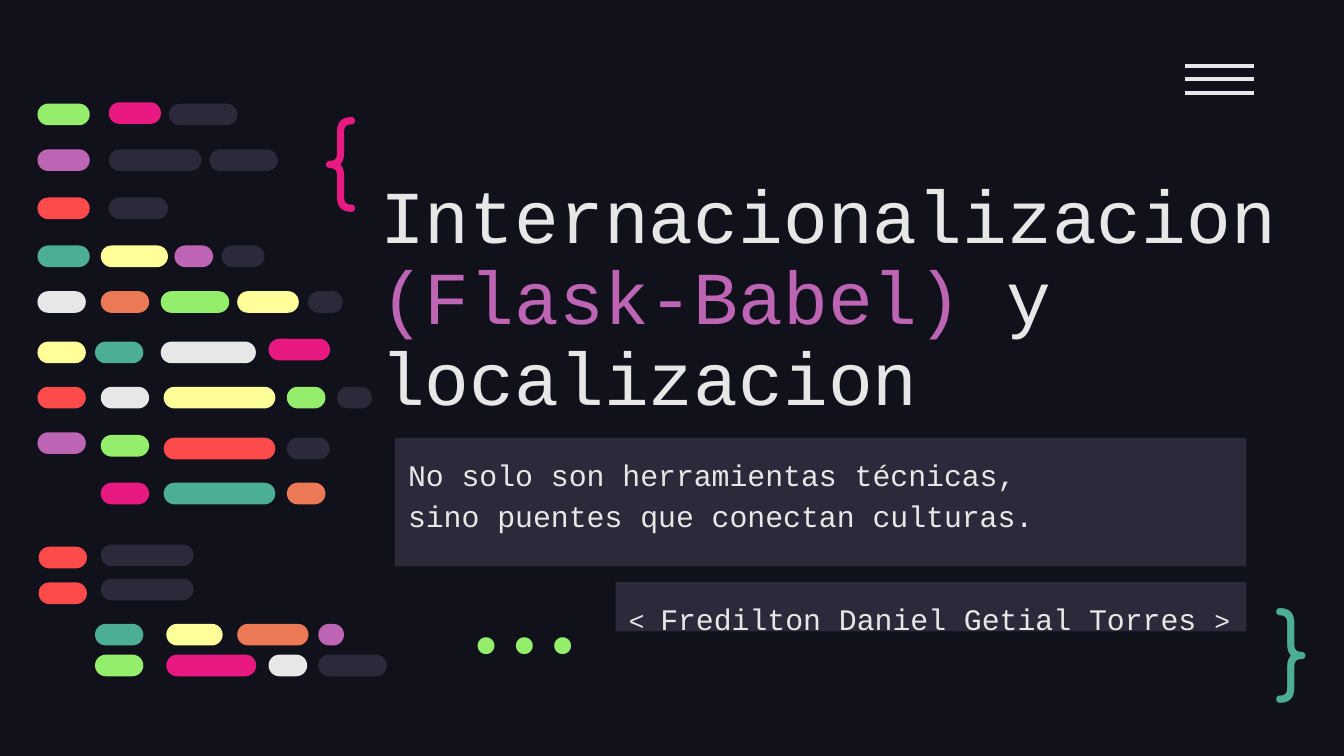
import pptx
import pptx.util
import pptx.dml.color
import pptx.enum.shapes
import pptx.enum.text
import pptx.oxml.ns
import lxml.etree

Pt = pptx.util.Pt
RGB = pptx.dml.color.RGBColor
KIND = pptx.enum.shapes.MSO_SHAPE
LINK = pptx.enum.shapes.MSO_CONNECTOR
ANCHOR = pptx.enum.text.MSO_ANCHOR
ALIGN = pptx.enum.text.PP_ALIGN
SIZING = pptx.enum.text.MSO_AUTO_SIZE

NIGHT = RGB(0x10, 0x11, 0x1A)
SLATE = RGB(0x2C, 0x29, 0x3A)
WHITE = RGB(0xE7, 0xE7, 0xE7)
PURPLE = RGB(0xBD, 0x64, 0xB5)
PINK = RGB(0xE8, 0x1A, 0x81)
TEAL = RGB(0x4C, 0xAE, 0x97)
GREEN = RGB(0x94, 0xEE, 0x6B)
RED = RGB(0xFD, 0x4A, 0x4A)
YELLOW = RGB(0xFF, 0xFF, 0x99)
ORANGE = RGB(0xEC, 0x79, 0x55)

MONO = "Courier New"
ROUND = "Comfortaa"
CODE = "Fira Code"
INSET = 7.2

# Pill height, and the widths that recur
THICK = 11.6
TINY, SMALL, SHORT, WORD = 18.7, 20.7, 23, 25.9
TOKEN, NAME, TERM = 28, 33, 36.7
PHRASE, CLAUSE = 49.7, 59.8

# Left edges that recur, from the left of the pattern
EDGE, NUDGE = 0, 0.6
NEAR, TAB, STEP = 30.8, 33.9, 38.2
MID, INNER, OUTER = 66, 67.6, 69
WIDE, FAR, LAST, END = 107, 123.8, 133.6, 150.4

# Each row of the pattern: its top, then (left, width, colour) of each pill
ROWS = [
    (0, [(STEP, TOKEN, PINK)]),
    (0.7, [(EDGE, TOKEN, GREEN), (70.4, TERM, SLATE)]),
    (25.2, [(EDGE, TOKEN, PURPLE), (STEP, PHRASE, SLATE),
            (92, TERM, SLATE)]),
    (51, [(EDGE, TOKEN, RED), (STEP, 31.7, SLATE)]),
    (76.7, [(EDGE, TOKEN, TEAL), (TAB, 36, YELLOW), (73.4, SMALL, PURPLE),
            (98.6, SHORT, SLATE)]),
    (101.2, [(EDGE, WORD, WHITE), (TAB, WORD, ORANGE), (MID, TERM, GREEN),
             (WIDE, NAME, YELLOW), (144.9, TINY, SLATE)]),
    (126.7, [(FAR, NAME, PINK)]),
    (128.2, [(EDGE, WORD, YELLOW), (NEAR, WORD, TEAL), (MID, 51, WHITE)]),
    (152.4, [(EDGE, WORD, RED), (TAB, WORD, WHITE), (INNER, CLAUSE, YELLOW),
             (LAST, SMALL, GREEN), (160.5, TINY, SLATE)]),
    (176.8, [(EDGE, WORD, PURPLE)]),
    (178.2, [(TAB, WORD, GREEN)]),
    (179.7, [(INNER, CLAUSE, RED), (LAST, SHORT, SLATE)]),
    (203.8, [(TAB, WORD, PINK), (INNER, CLAUSE, TEAL),
             (LAST, SMALL, ORANGE)]),
    (236.9, [(TAB, PHRASE, SLATE)]),
    (238.1, [(NUDGE, WORD, RED)]),
    (255.2, [(TAB, PHRASE, SLATE)]),
    (257.2, [(NUDGE, WORD, RED)]),
    (279.4, [(NEAR, WORD, TEAL), (OUTER, 30.2, YELLOW),
             (WIDE, 38.2, ORANGE), (END, 13.8, PURPLE)]),
    (295.9, [(NEAR, WORD, GREEN), (OUTER, 48.2, PINK), (FAR, SMALL, WHITE),
             (END, TERM, SLATE)]),
]


def style(item, form):
    """Set each attribute named in a dict of format values."""
    for name, value in form.items():
        setattr(item, name, value)


def block(slide, kind, box, color):
    """Draw a flat filled shape."""
    shape = slide.shapes.add_shape(kind, *map(Pt, box))
    shape.shadow.inherit = False
    shape.fill.solid()
    shape.fill.fore_color.rgb = color
    shape.line.fill.background()
    return shape


def write(shape, lines, font, anchor=ANCHOR.TOP, align=ALIGN.LEFT, space=1.0):
    """Fill a shape; each line is a list of (text, size, colour) runs."""
    frame = shape.text_frame
    style(frame, dict(word_wrap=True, auto_size=SIZING.NONE,
                      vertical_anchor=anchor,
                      margin_left=Pt(INSET), margin_right=Pt(INSET),
                      margin_top=Pt(INSET), margin_bottom=Pt(INSET)))
    for i, line in enumerate(lines):
        para = frame.add_paragraph() if i else frame.paragraphs[0]
        style(para, dict(alignment=align, line_spacing=space,
                         space_before=Pt(0), space_after=Pt(0)))
        for text, size, color in line:
            run = para.add_run()
            run.text = text
            style(run.font, dict(name=font, size=Pt(size)))
            run.font.color.rgb = color


def heading(slide, box):
    """Place and fill the title placeholder."""
    title = slide.shapes.title
    left, top, width, height = map(Pt, box)
    style(title, dict(left=left, top=top, width=width, height=height))
    write(title, [[("Internacionalizacion ", 40, WHITE),
                   ("(Flask-Babel) ", 40, PURPLE),
                   ("y localizacion", 40, WHITE)]],
          MONO, anchor=ANCHOR.BOTTOM, space=0.9)


def panel(slide, box, lines):
    """Draw a slate box with text."""
    shape = block(slide, KIND.RECTANGLE, box, SLATE)
    write(shape, lines, MONO, space=1.15)


def glyph(slide, box, text, font, color, **form):
    """Place large decorative characters."""
    shape = slide.shapes.add_textbox(*map(Pt, box))
    write(shape, [[(text, 50, color)]], font, **form)


def menu(slide, box, count=3):
    """Spread level lines evenly over the box."""
    left, top, width, height = box
    gap = height / (count - 1)
    for i in range(count):
        y = top + i * gap
        line = slide.shapes.add_connector(
            LINK.STRAIGHT, Pt(left), Pt(y), Pt(left + width), Pt(y))
        line.line.color.rgb = WHITE
        line.line.width = Pt(2.25)
        lxml.etree.SubElement(line.element.spPr,
                              pptx.oxml.ns.qn("a:effectLst"))


def pattern(slide, left, top):
    """Draw rows of pills that look like lines of code."""
    for y, row in ROWS:
        for x, width, color in row:
            box = (left + x, top + y, width, THICK)
            pill = block(slide, KIND.ROUNDED_RECTANGLE, box, color)
            pill.adjustments[0] = 0.5


def main():
    deck = pptx.Presentation()
    style(deck, dict(slide_width=Pt(720), slide_height=Pt(405)))
    slide = deck.slides.add_slide(deck.slide_layouts[5])
    slide.background.fill.solid()
    slide.background.fill.fore_color.rgb = NIGHT

    # Title and subtitle
    heading(slide, (196.5, 72.3, 498.2, 160.6))
    panel(slide, (211.5, 234.6, 456.3, 68.8),
          [[("No solo son herramientas técnicas,", 16, WHITE)],
           [("sino puentes que conectan culturas.", 16, WHITE)]])

    # Braces and dots
    glyph(slide, (165, 44.6, 55.4, 68.4), "{", ROUND, PINK)
    glyph(slide, (676, 315.4, 41, 59.8), "}", ROUND, TEAL,
          anchor=ANCHOR.MIDDLE)
    glyph(slide, (220.7, 324.3, 113.8, 43.2), "...", CODE, GREEN,
          anchor=ANCHOR.BOTTOM, align=ALIGN.RIGHT)

    # Menu icon and code pattern
    menu(slide, (634.6, 35.3, 37.2, 14.4))
    pattern(slide, 20.1, 54.8)

    # Author
    panel(slide, (329.8, 311.9, 338, 26.4),
          [[("< ", 14, WHITE),
            ("Fredilton Daniel Getial Torres ", 16, WHITE),
            (">", 14, WHITE)]])
    deck.save("out.pptx")


if __name__ == "__main__":
    main()
